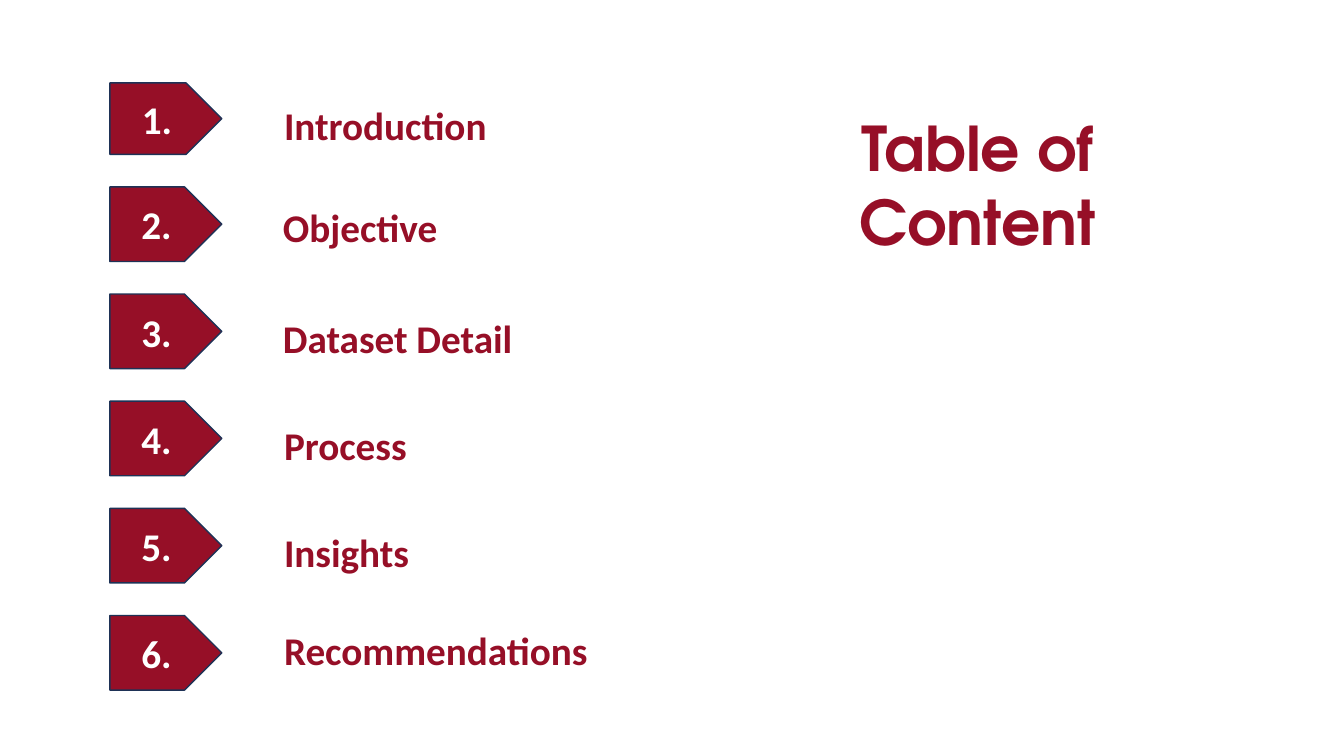
import pptx
import pptx.dml.color
import pptx.enum.shapes
import pptx.enum.text
import pptx.util

Cm = pptx.util.Cm
Align = pptx.enum.text.PP_ALIGN
Anchor = pptx.enum.text.MSO_ANCHOR

COLOURS = {"crimson": "960F27", "navy": "1E3256", "white": "FFFFFF"}
BODY_FONT = "Calibri"
TITLE_FONT = "TeX Gyre Adventor"

# Heading, left, top and width of its text box in cm
SECTIONS = [
    ("Introduction", 6.91, 2.44, 15.7),
    ("Objective", 6.88, 5.0, 15.75),
    ("Dataset Detail", 6.88, 7.8, 15.75),
    ("Process", 6.91, 10.49, 12.4),
    ("Insights", 6.91, 13.18, 11.33),
    ("Recommendations", 6.91, 15.67, 10.11),
]
MARKER_LEFT, MARKER_WIDTH = 2.77, 2.82
FIRST_MARKER_HEIGHT, MARKER_HEIGHT = 1.8, 1.88
FIRST_MARKER_BOTTOM, MARKER_PITCH = 3.89, 2.7
HEADING_HEIGHT = 1.45


def colour(name):
    """Return the named colour as an RGB value."""
    return pptx.dml.color.RGBColor.from_string(COLOURS[name])


def write(shape, text, size=28, font=BODY_FONT, ink="crimson",
          align=Align.LEFT, anchor=Anchor.TOP):
    """Put one bold, formatted paragraph into a shape."""
    frame = shape.text_frame
    frame.word_wrap = True
    frame.auto_size = pptx.enum.text.MSO_AUTO_SIZE.NONE
    frame.vertical_anchor = anchor
    para = frame.paragraphs[0]
    para.alignment = align
    para.line_spacing = 1.0
    span = para.add_run()
    span.text = text
    span.font.name = font
    span.font.size = pptx.util.Pt(size)
    span.font.bold = True
    span.font.color.rgb = colour(ink)


class ContentsPage:
    """The current slide and the style of its elements."""

    def __init__(self, deck):
        """Add a title-only slide with a white background."""
        self.page = deck.slides.add_slide(deck.slide_layouts[5])
        fill = self.page.background.fill
        fill.solid()
        fill.fore_color.rgb = colour("white")

    def title(self, text, left, top, width, height):
        """Place and format the title placeholder."""
        box = self.page.shapes.title
        box.left, box.top = Cm(left), Cm(top)
        box.width, box.height = Cm(width), Cm(height)
        write(box, text, size=44, font=TITLE_FONT, align=Align.CENTER)

    def marker(self, text, left, top, width, height):
        """Draw a numbered pentagon arrow."""
        shape = self.page.shapes.add_shape(
            pptx.enum.shapes.MSO_SHAPE.PENTAGON,
            Cm(left), Cm(top), Cm(width), Cm(height))
        shape.shadow.inherit = False
        shape.fill.solid()
        shape.fill.fore_color.rgb = colour("crimson")
        shape.line.color.rgb = colour("navy")
        shape.line.width = pptx.util.Pt(1)
        write(shape, text, ink="white", align=Align.CENTER,
              anchor=Anchor.MIDDLE)

    def heading(self, text, left, top, width, height):
        """Add the text box of a section heading."""
        box = self.page.shapes.add_textbox(
            Cm(left), Cm(top), Cm(width), Cm(height))
        write(box, text)


def main():
    """Build the table of contents and save it."""
    deck = pptx.Presentation()
    deck.slide_width, deck.slide_height = Cm(33.87), Cm(19.05)
    contents = ContentsPage(deck)
    contents.title("Table of Content", 20.22, 2.64, 8.84, 4.01)
    for index, (text, left, top, width) in enumerate(SECTIONS):
        height = MARKER_HEIGHT if index else FIRST_MARKER_HEIGHT
        bottom = FIRST_MARKER_BOTTOM + index * MARKER_PITCH
        contents.marker(f"{index + 1}.", MARKER_LEFT, bottom - height,
                        MARKER_WIDTH, height)
        contents.heading(text, left, top, width, HEADING_HEIGHT)
    deck.save("out.pptx")


main()
